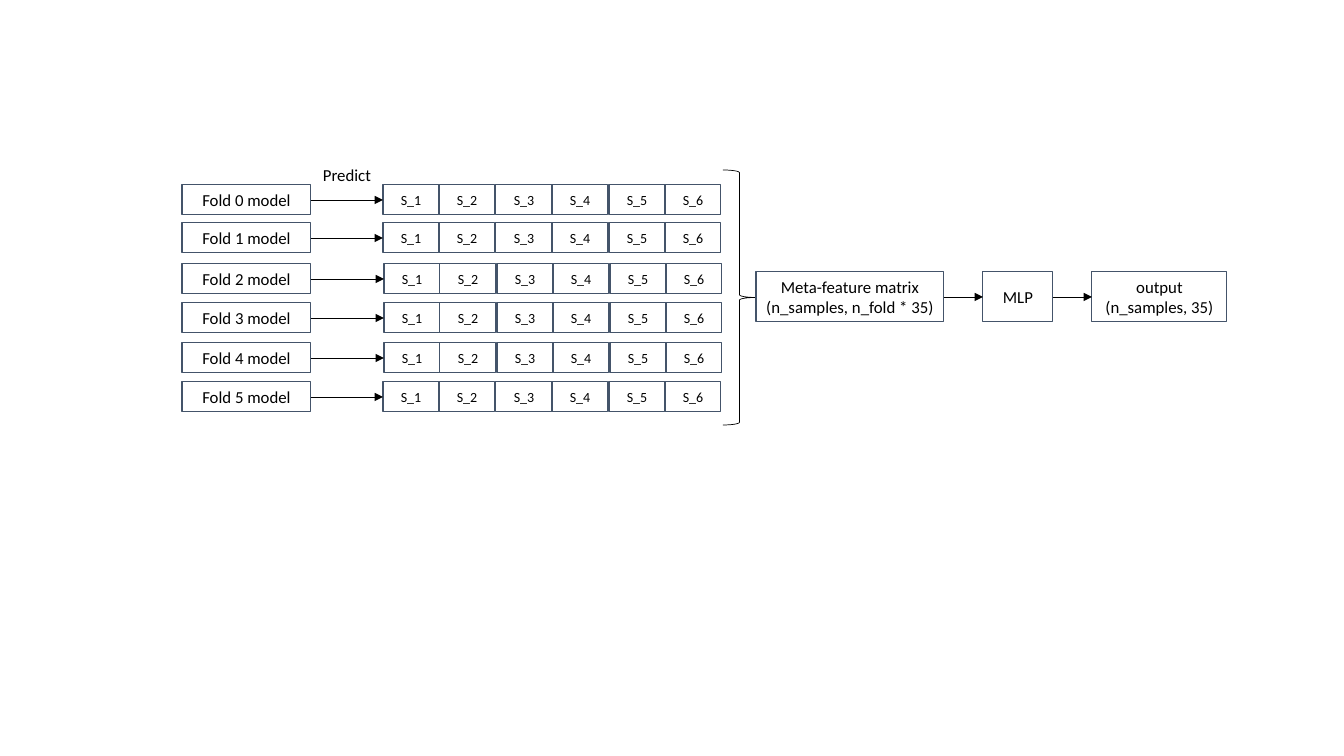
from itertools import pairwise

from lxml.etree import SubElement
from pptx import Presentation
from pptx.dml.color import RGBColor
from pptx.enum.shapes import MSO_CONNECTOR, MSO_SHAPE
from pptx.enum.text import MSO_ANCHOR, PP_ALIGN
from pptx.oxml.ns import qn
from pptx.util import Pt

PX = 914400 / 100.8
BLANK_LAYOUT = 6
RIGHT, LEFT = 3, 1


def px(*lengths):
    """Turn pixel lengths into EMU."""
    return [round(length * PX) for length in lengths]


def colour(code):
    return RGBColor.from_string(code)


def set_all(target, values):
    for name, value in values.items():
        setattr(target, name, value)


class Diagram:
    ink, border, paper = "000000", "44546A", "FFFFFF"
    font = "Calibri"
    box_frame = {
        "word_wrap": False,
        "vertical_anchor": MSO_ANCHOR.MIDDLE,
        **dict.fromkeys(
            ("margin_left", "margin_top", "margin_right", "margin_bottom"), px(10)[0]
        ),
    }

    def __init__(self, page):
        self.page = page

    def outline(self, item, code, width):
        item.line.color.rgb = colour(code)
        item.line.width = Pt(width)

    def fill_text(self, frame, text, size, align):
        frame.text = text
        for para in frame.paragraphs:
            para.alignment = align
            for span in para.runs:
                set_all(span.font, {"name": self.font, "size": Pt(size)})
                span.font.color.rgb = colour(self.ink)

    def box(self, text, left, top, width, height, size=12):
        box = self.page.shapes.add_shape(
            MSO_SHAPE.RECTANGLE, *px(left, top, width, height)
        )
        box.shadow.inherit = False
        box.fill.solid()
        box.fill.fore_color.rgb = colour(self.paper)
        self.outline(box, self.border, 0.75)
        set_all(box.text_frame, self.box_frame)
        self.fill_text(box.text_frame, text, size, PP_ALIGN.CENTER)
        return box

    def label(self, text, left, top, width, height):
        label = self.page.shapes.add_textbox(*px(left, top, width, height))
        label.text_frame.word_wrap = True
        self.fill_text(label.text_frame, text, 12, PP_ALIGN.LEFT)

    def arrow(self, source, target):
        """Join the right side of source to the left side of target."""
        arrow = self.page.shapes.add_connector(MSO_CONNECTOR.STRAIGHT, 0, 0, 0, 0)
        arrow.begin_connect(source, RIGHT)
        arrow.end_connect(target, LEFT)
        self.outline(arrow, self.ink, 0.5)
        properties = arrow.element.spPr
        SubElement(properties.find(qn("a:ln")), qn("a:tailEnd"), type="triangle")
        SubElement(properties, qn("a:effectLst"))

    def brace(self, left, top, width, height):
        brace = self.page.shapes.add_shape(
            MSO_SHAPE.RIGHT_BRACE, *px(left, top, width, height)
        )
        brace.shadow.inherit = False
        brace.fill.background()
        brace.adjustments[0], brace.adjustments[1] = 0.08, 0.5
        self.outline(brace, self.ink, 0.5)


def main():
    deck = Presentation()
    deck.slide_width, deck.slide_height = px(1344, 756)
    diagram = Diagram(deck.slides.add_slide(deck.slide_layouts[BLANK_LAYOUT]))

    row_height, sample_width, sample_count = 30, 56, 6
    fold_rows = [(185, 383), (223, 383), (264, 384), (303, 384), (343, 384), (382, 383)]
    for fold, (top, samples_left) in enumerate(fold_rows):
        model = diagram.box(f"Fold {fold} model", 182, top, 129, row_height)
        samples = [
            diagram.box(
                f"S_{index + 1}",
                samples_left + round(index * 56.4),
                top,
                sample_width,
                row_height,
                size=10,
            )
            for index in range(sample_count)
        ]
        diagram.arrow(model, samples[0])

    diagram.label("Predict", 313, 160, 103, 30)
    diagram.brace(723, 170, 33, 255)

    stages = [
        ("Meta-feature matrix\n(n_samples, n_fold * 35)", 756, 188),
        ("MLP", 983, 70),
        ("output\n(n_samples, 35)", 1092, 135),
    ]
    stage_boxes = [diagram.box(text, left, 272, width, 50) for text, left, width in stages]
    for source, target in pairwise(stage_boxes):
        diagram.arrow(source, target)

    deck.save("out.pptx")


if __name__ == "__main__":
    main()
